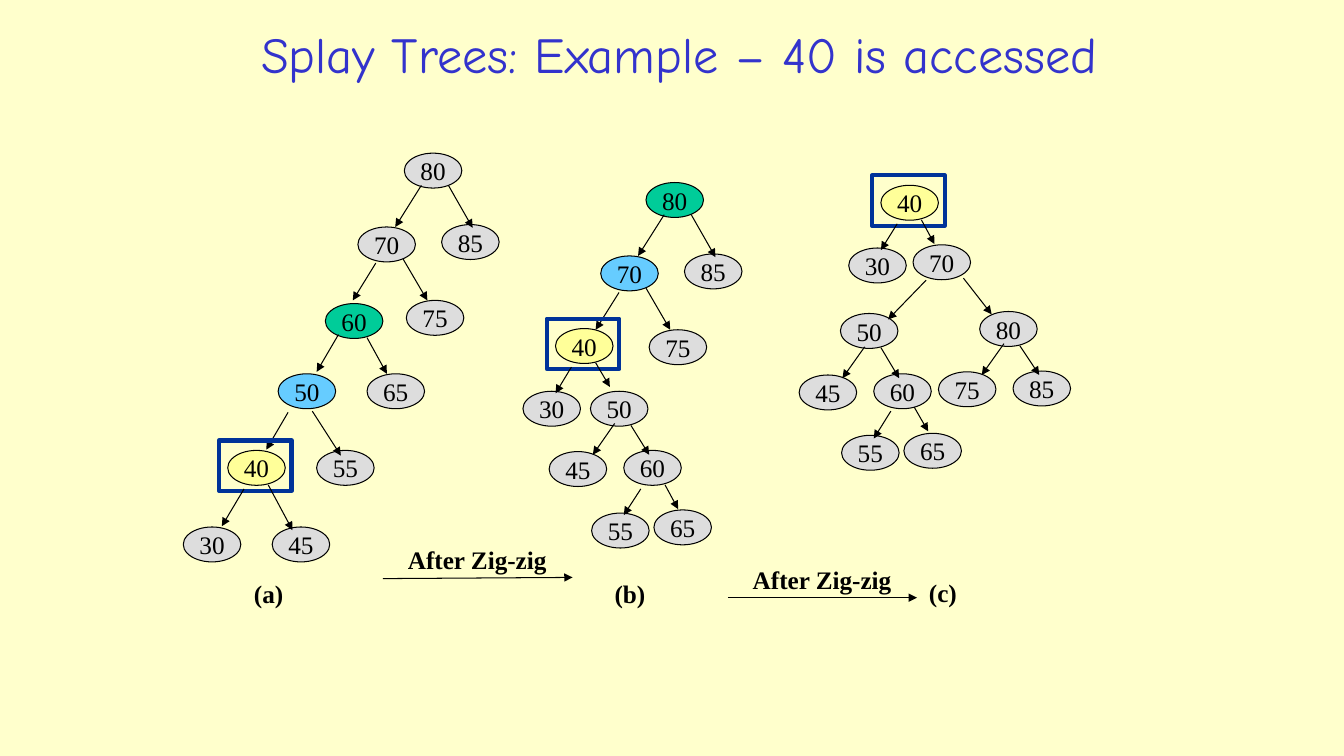
from lxml import etree
from pptx import Presentation
from pptx.dml.color import RGBColor
from pptx.enum.shapes import MSO_CONNECTOR, MSO_SHAPE
from pptx.enum.text import MSO_ANCHOR, MSO_AUTO_SIZE, PP_ALIGN
from pptx.oxml.ns import qn
from pptx.util import Cm, Pt

OVAL, RECTANGLE = MSO_SHAPE.OVAL, MSO_SHAPE.RECTANGLE
STRAIGHT = MSO_CONNECTOR.STRAIGHT
MIDDLE, CENTER = MSO_ANCHOR.MIDDLE, PP_ALIGN.CENTER
GROW = MSO_AUTO_SIZE.SHAPE_TO_FIT_TEXT

GREY, GREEN, BLUE, YELLOW = "DDDDDD", "00CC99", "66CCFF", "FFFF99"
ACCESSED = "40"

# Trees: key, left and top of the node, then the arrow that leads to it (cm)
TREE_A = [
    ("80", 10.19, 3.86, None),
    ("70", 9.02, 5.72, (10.62, 4.67, 9.96, 5.72)),
    ("85", 11.13, 5.66, (11.3, 4.67, 11.91, 5.74)),
    ("60", 8.2, 7.65, (9.47, 6.63, 8.89, 7.57)),
    ("75", 10.24, 7.57, (10.16, 6.53, 10.77, 7.57)),
    ("50", 7.01, 9.42, (8.53, 8.43, 7.98, 9.37)),
    ("65", 9.25, 9.42, (9.25, 8.51, 9.75, 9.42)),
    ("40", 5.74, 11.35, (7.26, 10.39, 6.71, 11.33)),
    ("55", 7.98, 11.35, (7.87, 10.36, 8.59, 11.48)),
    ("30", 4.62, 13.28, (6.15, 12.32, 5.59, 13.26)),
    ("45", 6.86, 13.28, (6.76, 12.22, 7.37, 13.36)),
]
TREE_B = [
    ("80", 16.28, 4.6, None),
    ("70", 15.14, 6.45, (16.74, 5.41, 16.08, 6.45)),
    ("85", 17.25, 6.4, (17.42, 5.41, 18.03, 6.48)),
    ("40", 14, 8.28, (15.6, 7.37, 15.01, 8.31)),
    ("75", 16.36, 8.31, (16.28, 7.26, 16.89, 8.31)),
    ("30", 13.18, 9.86, (14.4, 9.25, 14, 9.91)),
    ("50", 14.88, 9.86, (15.01, 9.14, 15.37, 9.75)),
    ("45", 13.84, 11.38, (15.49, 10.67, 14.94, 11.46)),
    ("60", 15.72, 11.35, (15.9, 10.72, 16.36, 11.46)),
    ("55", 14.91, 12.93, (16.15, 12.32, 15.72, 12.98)),
    ("65", 16.48, 12.85, (16.76, 12.22, 17.09, 12.83)),
]
TREE_C = [
    ("40", 22.2, 4.67, None),
    ("30", 21.39, 6.25, (22.61, 5.64, 22.2, 6.3)),
    ("70", 23.01, 6.17, (23.22, 5.54, 23.55, 6.15)),
    ("50", 21.18, 7.9, (23.34, 7.06, 22.38, 8.05)),
    ("80", 24.69, 7.85, (24.28, 7.01, 24.99, 7.92)),
    ("45", 20.14, 9.45, (21.79, 8.74, 21.23, 9.53)),
    ("60", 22.02, 9.42, (22.2, 8.76, 22.66, 9.53)),
    ("75", 23.65, 9.37, (25.3, 8.66, 24.74, 9.45)),
    ("85", 25.53, 9.35, (25.7, 8.71, 26.19, 9.45)),
    ("55", 21.21, 10.97, (22.45, 10.36, 22.02, 11.05)),
    ("65", 22.78, 10.92, (23.04, 10.26, 23.39, 10.87)),
]
# Each tree with the fills of its grandparent and parent nodes
TREES = [
    (TREE_A, {"60": GREEN, "50": BLUE}),
    (TREE_B, {"80": GREEN, "70": BLUE}),
    (TREE_C, {}),
]
CAPTIONS = [
    ("(a)", 6.15, 14.45, 1.24),
    ("(b)", 15.24, 14.45, 1.3),
    ("(c)", 23.16, 14.43, 1.22),
    ("After Zig-zig", 10.03, 13.59, 4.01),
    ("After Zig-zig", 18.72, 14.1, 4.01),
]
STEP_ARROWS = [(9.65, 14.58, 14.43, 14.55), (18.34, 15.06, 23.11, 15.06)]


def color(value):
    return RGBColor.from_string(value)


class TreePage:
    text_font, title_font = "Times New Roman", "Comic Neue"
    ink, title_ink, frame_ink = "000000", "3333CC", "003399"
    node_width, node_height = 1.45, 0.88

    def __init__(self, deck):
        self.page = deck.slides.add_slide(deck.slide_layouts[5])
        self.page.background.fill.solid()
        self.page.background.fill.fore_color.rgb = color("FFFFCC")

    def set_font(self, para, name, size, ink, bold=False):
        para.font.name, para.font.size, para.font.bold = name, Pt(size), bold
        para.font.color.rgb = color(ink)

    def title(self, text, left, top, width, height):
        box = self.page.shapes.title
        box.left, box.top, box.width, box.height = map(Cm, (left, top, width, height))
        box.text_frame.text = text
        box.text_frame.vertical_anchor = MIDDLE
        para = box.text_frame.paragraphs[0]
        para.alignment = CENTER
        self.set_font(para, self.title_font, 36, self.title_ink)

    def node(self, key, left, top, fill):
        oval = self.page.shapes.add_shape(
            OVAL, Cm(left), Cm(top), Cm(self.node_width), Cm(self.node_height))
        oval.shadow.inherit = False
        oval.fill.solid()
        oval.fill.fore_color.rgb = color(fill)
        oval.line.color.rgb = color(self.ink)
        oval.line.width = Pt(0.75)
        frame = oval.text_frame
        frame.text, frame.word_wrap, frame.vertical_anchor = key, False, MIDDLE
        frame.paragraphs[0].alignment = CENTER
        self.set_font(frame.paragraphs[0], self.text_font, 18, self.ink)

    def arrow(self, *ends):
        line = self.page.shapes.add_connector(STRAIGHT, *map(Cm, ends))
        line.line.color.rgb = color(self.ink)
        line.line.width = Pt(0.75)
        etree.SubElement(line.line._get_or_add_ln(), qn("a:tailEnd"), type="triangle")
        etree.SubElement(line._element.spPr, qn("a:effectLst"))

    def highlight(self, left, top):
        frame = self.page.shapes.add_shape(
            RECTANGLE, Cm(left - 0.22), Cm(top - 0.25), Cm(1.83), Cm(1.27))
        frame.shadow.inherit = False
        frame.fill.background()
        frame.line.color.rgb = color(self.frame_ink)
        frame.line.width = Pt(3)

    def caption(self, text, left, top, width):
        box = self.page.shapes.add_textbox(Cm(left), Cm(top), Cm(width), Cm(1.02))
        box.text_frame.text = text
        box.text_frame.word_wrap = False
        box.text_frame.auto_size = GROW
        self.set_font(box.text_frame.paragraphs[0], self.text_font, 18, self.ink, True)

    def tree(self, nodes, fills):
        for key, left, top, arrow in nodes:
            self.node(key, left, top, fills.get(key, GREY))
            if arrow:
                self.arrow(*arrow)
            if key == ACCESSED:
                self.highlight(left, top)


def main():
    deck = Presentation()
    deck.slide_width, deck.slide_height = Cm(33.87), Cm(19.05)
    page = TreePage(deck)
    page.title("Splay Trees: Example – 40 is accessed", 5, 0.38, 24.23, 1.93)

    # Three stages of the splay
    for nodes, fills in TREES:
        page.tree(nodes, {ACCESSED: YELLOW, **fills})

    # Captions and steps between the stages
    for caption in CAPTIONS:
        page.caption(*caption)
    for ends in STEP_ARROWS:
        page.arrow(*ends)

    deck.save("out.pptx")


if __name__ == "__main__":
    main()
